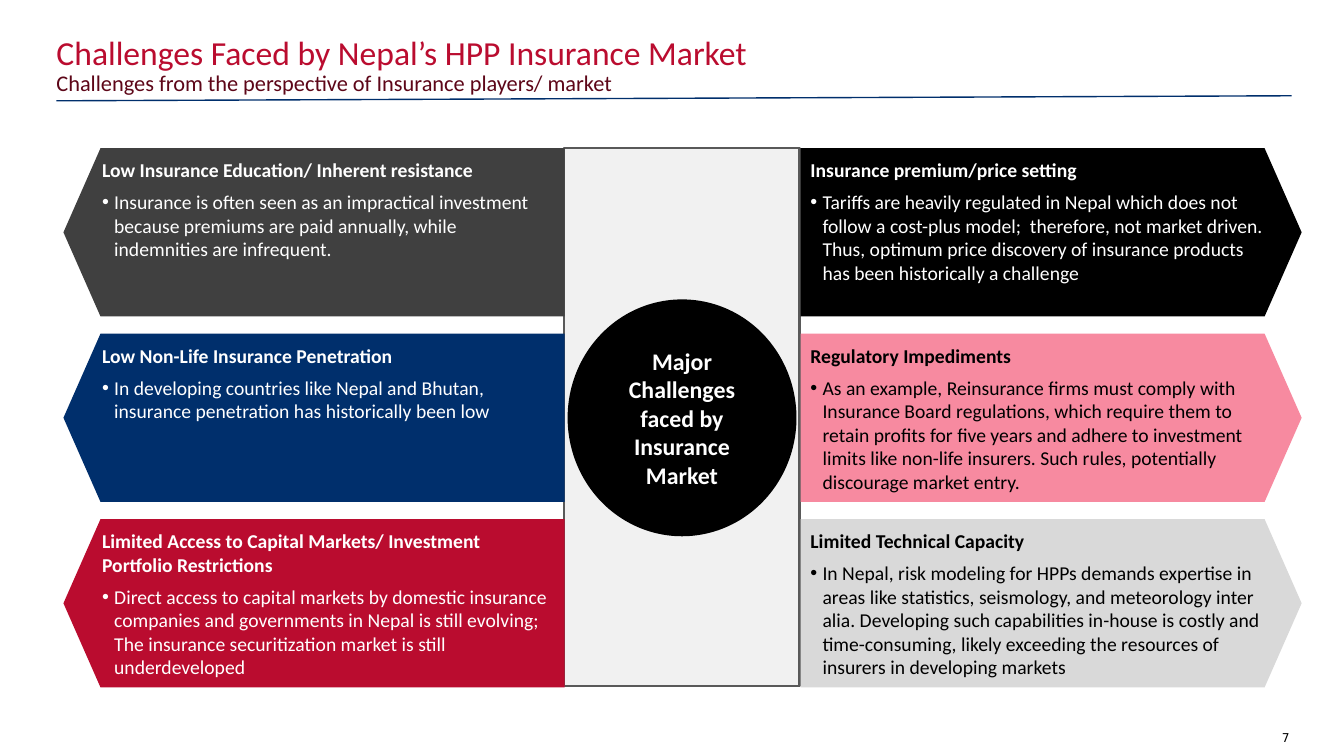
from lxml.etree import SubElement
from pptx import Presentation
from pptx.dml.color import RGBColor
from pptx.enum.shapes import MSO_CONNECTOR, MSO_SHAPE
from pptx.enum.text import MSO_ANCHOR, PP_ALIGN
from pptx.oxml.ns import qn
from pptx.util import Inches, Pt

COLORS = {
    "black": "000000", "white": "FFFFFF", "charcoal": "404040",
    "navy": "002F6C", "red": "BA0C2F", "maroon": "5D0618",
    "pink": "F78AA0", "silver": "D9D9D9", "outline": "595959",
}

LEFT = [
    ("charcoal", "white", "Low Insurance Education/ Inherent resistance",
     "Insurance is often seen as an impractical investment because premiums are paid annually, "
     "while indemnities are infrequent."),
    ("navy", "white", "Low Non-Life Insurance Penetration",
     "In developing countries like Nepal and Bhutan, insurance penetration has historically been low"),
    ("red", "white", "Limited Access to Capital Markets/ Investment Portfolio Restrictions",
     "Direct access to capital markets by domestic insurance companies and governments in Nepal "
     "is still evolving; The insurance securitization market is still underdeveloped"),
]
RIGHT = [
    ("black", "white", "Insurance premium/price setting",
     "Tariffs are heavily regulated in Nepal which does not follow a cost-plus model;  therefore, "
     "not market driven. Thus, optimum price discovery of insurance products has been "
     "historically a challenge"),
    ("pink", "black", "Regulatory Impediments",
     "As an example, Reinsurance firms must comply with Insurance Board regulations, which require "
     "them to retain profits for five years and adhere to investment limits like non-life insurers. "
     "Such rules, potentially discourage market entry."),
    ("silver", "black", "Limited Technical Capacity",
     "In Nepal, risk modeling for HPPs demands expertise in areas like statistics, seismology, and "
     "meteorology inter alia. Developing such capabilities in-house is costly and time-consuming, "
     "likely exceeding the resources of insurers in developing markets"),
]


def rgb(name):
    return RGBColor.from_string(COLORS[name])


class SlideBuilder:
    font = "Calibri"

    def __init__(self, s):
        self.s = s

    def frame(self, sp, margins, anchor=MSO_ANCHOR.TOP):
        tf = sp.text_frame
        sides = ("margin_left", "margin_top", "margin_right", "margin_bottom")
        formats = dict(zip(sides, map(Inches, margins)), word_wrap=True, vertical_anchor=anchor)
        for key, value in formats.items():
            setattr(tf, key, value)
        return tf

    def paragraph(self, p, text, size, color, bold=False, align=PP_ALIGN.LEFT, after=0, font=None):
        p.alignment = align
        p.space_before = Pt(0)
        p.space_after = Pt(after)
        r = p.add_run()
        r.text = text
        for key, value in {"name": font or self.font, "size": Pt(size), "bold": bold}.items():
            setattr(r.font, key, value)
        r.font.color.rgb = rgb(color)

    def title(self, box, text):
        sp = self.s.shapes.title
        for key, value in zip(("left", "top", "width", "height"), box):
            setattr(sp, key, Inches(value))
        tf = self.frame(sp, (0, 0, 0, 0), MSO_ANCHOR.MIDDLE)
        self.paragraph(tf.paragraphs[0], text, 24, "red")

    def text(self, box, text, size, color, margins=(0, 0, 0, 0), **style):
        sp = self.s.shapes.add_textbox(*map(Inches, box))
        tf = self.frame(sp, margins)
        self.paragraph(tf.paragraphs[0], text, size, color, **style)

    def shape(self, kind, box, fill):
        sp = self.s.shapes.add_shape(kind, *map(Inches, box))
        sp.shadow.inherit = False
        sp.fill.solid()
        sp.fill.fore_color.rgb = rgb(fill)
        sp.line.fill.background()
        return sp

    def panel(self, box):
        sp = self.shape(MSO_SHAPE.RECTANGLE, box, "silver")
        clr = sp._element.spPr.find(qn("a:solidFill"))[0]
        SubElement(clr, qn("a:alpha")).set("val", "35000")
        sp.line.color.rgb = rgb("outline")
        sp.line.width = Pt(1.5)

    def rule(self, start, end):
        line = self.s.shapes.add_connector(MSO_CONNECTOR.STRAIGHT, *map(Inches, start + end))
        line.line.color.rgb = rgb("navy")
        line.line.width = Pt(1)
        SubElement(line._element.spPr, qn("a:effectLst"))

    def hub(self, box, text):
        sp = self.shape(MSO_SHAPE.OVAL, box, "black")
        tf = self.frame(sp, (0.1,) * 4, MSO_ANCHOR.MIDDLE)
        self.paragraph(tf.paragraphs[0], text, 17, "white", bold=True, align=PP_ALIGN.CENTER)

    def challenge(self, box, fill, color, heading, body, flip):
        sp = self.shape(MSO_SHAPE.PENTAGON, box, fill)
        sp.adjustments[0] = 0.22
        if flip:
            sp._element.spPr.find(qn("a:xfrm")).set("flipH", "1")
        tf = self.frame(sp, (0.2 if flip else 0.1, 0.1, 0.1, 0.1))
        self.paragraph(tf.paragraphs[0], heading, 14, color, bold=True, after=6)
        p = tf.add_paragraph()
        p.level = 1
        pPr = p._p.get_or_add_pPr()
        pPr.set("marL", str(Inches(0.12)))
        pPr.set("indent", str(-Inches(0.12)))
        SubElement(pPr, qn("a:buFont")).set("typeface", "Arial")
        SubElement(pPr, qn("a:buChar")).set("char", "•")
        self.paragraph(p, body, 14, color, after=6)


def main():
    prs = Presentation()
    prs.slide_width, prs.slide_height = Inches(13.33), Inches(7.5)
    b = SlideBuilder(prs.slides.add_slide(prs.slide_layouts[5]))
    b.title((0.56, 0.29, 12.34, 0.46), "Challenges Faced by Nepal’s HPP Insurance Market")
    b.panel((5.59, 1.47, 2.34, 5.34))
    b.text((0.56, 0.64, 12.62, 0.31), "Challenges from the perspective of Insurance players/ market",
           16, "maroon", margins=(0, 0.05, 0, 0.05), after=6)
    b.rule((0.56, 1), (12.81, 0.95))
    b.hub((5.63, 2.97, 2.27, 2.35), "Major Challenges faced by Insurance Market")
    for left, challenges, flip in ((0.63, LEFT, True), (7.94, RIGHT, False)):
        for row, challenge in enumerate(challenges):
            b.challenge((left, 1.47 + row * 1.84, 4.97, 1.67), *challenge, flip)
    b.text((12.45, 7.25, 0.34, 0.11), "7", 8.7, "black", align=PP_ALIGN.RIGHT, font="DejaVu Sans")
    prs.save("out.pptx")


if __name__ == "__main__":
    main()
